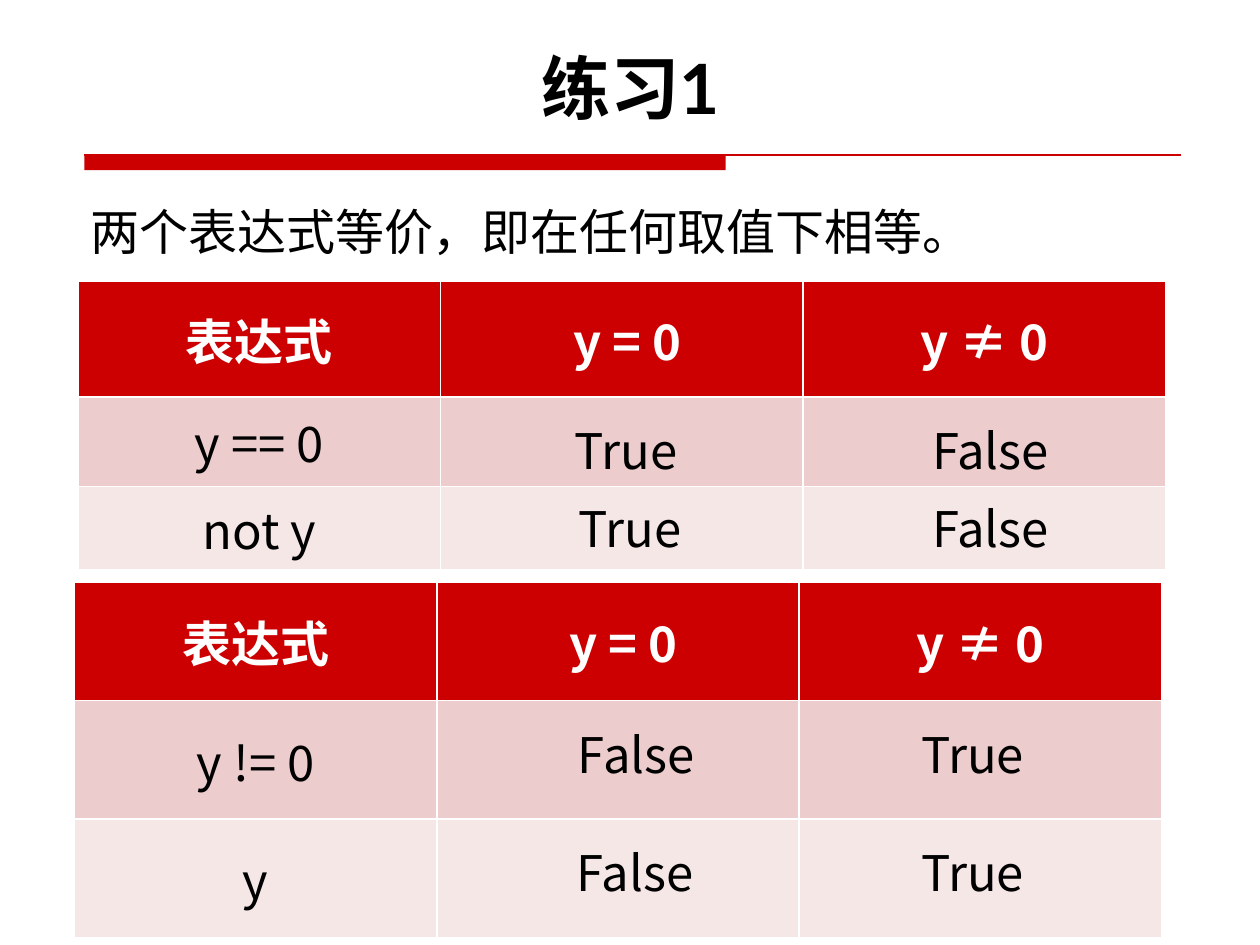
from lxml import etree
from pptx import Presentation
from pptx import util as u
from pptx.dml.color import RGBColor
from pptx.enum import shapes, text
from pptx.oxml import ns

RED = RGBColor(0xCC, 0x00, 0x00)
PINK = RGBColor(0xEC, 0xCC, 0xCC)
PALE = RGBColor(0xF6, 0xE7, 0xE7)
WHITE = RGBColor(0xFF, 0xFF, 0xFF)
BLACK = RGBColor(0x00, 0x00, 0x00)
FONT = "Noto Sans CJK SC"
HEADER = ["表达式", " y = 0", "y ≠ 0"]
TABLE_WIDTH = 8.63


def format_para(para, size=28, name=FONT, color=BLACK, bold=False,
                align=text.PP_ALIGN.CENTER):
    para.alignment = align
    font = para.font
    font.size, font.name, font.bold = u.Pt(size), name, bold
    font.color.rgb = color
    props = para._p.pPr.find(ns.qn("a:defRPr"))
    etree.SubElement(props, ns.qn("a:ea"), typeface=FONT)


def add_title(page, left, top, width, height):
    title = page.shapes.title
    title.left, title.top = u.Inches(left), u.Inches(top)
    title.width, title.height = u.Inches(width), u.Inches(height)
    title.text_frame.text = "练习1"
    title.text_frame.vertical_anchor = text.MSO_ANCHOR.BOTTOM
    format_para(title.text_frame.paragraphs[0], 39.6, "Lato", bold=True)


def add_title_rule(page, left, top, width, height):
    bar = page.shapes.add_shape(
        shapes.MSO_SHAPE.RECTANGLE, u.Inches(left), u.Inches(top),
        u.Inches(5.09), u.Inches(height))
    bar.shadow.inherit = False
    bar.fill.solid()
    bar.fill.fore_color.rgb = RED
    bar.line.fill.background()
    rule = page.shapes.add_connector(
        shapes.MSO_CONNECTOR.STRAIGHT, u.Inches(left), u.Inches(top),
        u.Inches(left + width), u.Inches(top))
    rule.line.color.rgb = RED
    rule.line.width = u.Pt(0.75)
    etree.SubElement(rule._element.spPr, ns.qn("a:effectLst"))


def add_label(page, words, left, top, width, align=text.PP_ALIGN.CENTER):
    box = page.shapes.add_textbox(
        u.Inches(left), u.Inches(top), u.Inches(width), u.Inches(0.57))
    frame = box.text_frame
    frame.word_wrap = True
    frame.auto_size = text.MSO_AUTO_SIZE.SHAPE_TO_FIT_TEXT
    frame.text = words
    format_para(frame.paragraphs[0], align=align)


def add_truth_table(page, left, top, row_heights, expressions, answers):
    grid = page.shapes.add_table(
        3, 3, u.Inches(left), u.Inches(top),
        u.Inches(TABLE_WIDTH), u.Inches(sum(row_heights))).table
    rows = [HEADER] + [[expression, "", ""] for expression in expressions]
    for r, (row, fill) in enumerate(zip(rows, (RED, PINK, PALE))):
        grid.rows[r].height = u.Inches(row_heights[r])
        for c, words in enumerate(row):
            cell = grid.cell(r, c)
            cell.fill.solid()
            cell.fill.fore_color.rgb = fill
            cell.vertical_anchor = text.MSO_ANCHOR.MIDDLE
            if words:
                cell.text = words
                format_para(cell.text_frame.paragraphs[0],
                            color=WHITE if r == 0 else BLACK, bold=r == 0)
    for words, dx, dy in answers:
        add_label(page, words, left + dx, top + dy, 1.4)


def main():
    deck = Presentation()
    deck.slide_width, deck.slide_height = u.Inches(10), u.Inches(7.5)
    page = deck.slides.add_slide(deck.slide_layouts[5])
    add_title_rule(page, 0.67, 1.23, 8.7, 0.12)
    add_title(page, 0.63, 0.33, 8.75, 0.74)
    add_label(page, "两个表达式等价，即在任何取值下相等。", 0.62, 1.55,
              TABLE_WIDTH, text.PP_ALIGN.LEFT)
    add_truth_table(
        page, 0.62, 2.23, [0.92, 0.71, 0.66], ["y == 0", "not y"],
        [("True", 3.65, 1.06), ("False", 6.54, 1.06),
         ("True", 3.68, 1.68), ("False", 6.54, 1.68)])
    add_truth_table(
        page, 0.59, 4.62, [0.94, 0.94, 0.94], ["y != 0", "y"],
        [("False", 3.76, 1.08), ("True", 6.43, 1.08),
         ("False", 3.75, 2.02), ("True", 6.43, 2.02)])
    deck.save("out.pptx")


if __name__ == "__main__":
    main()
